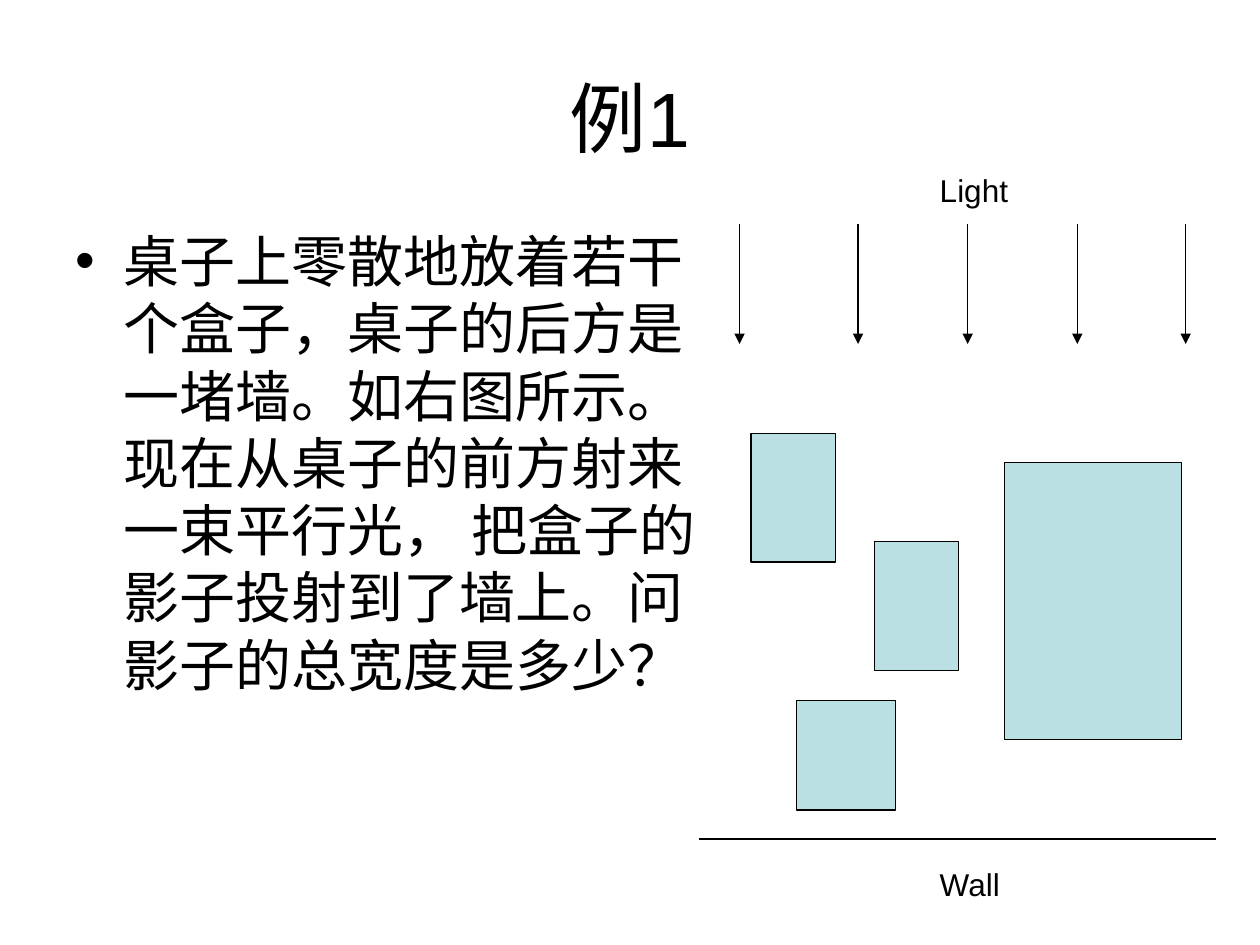
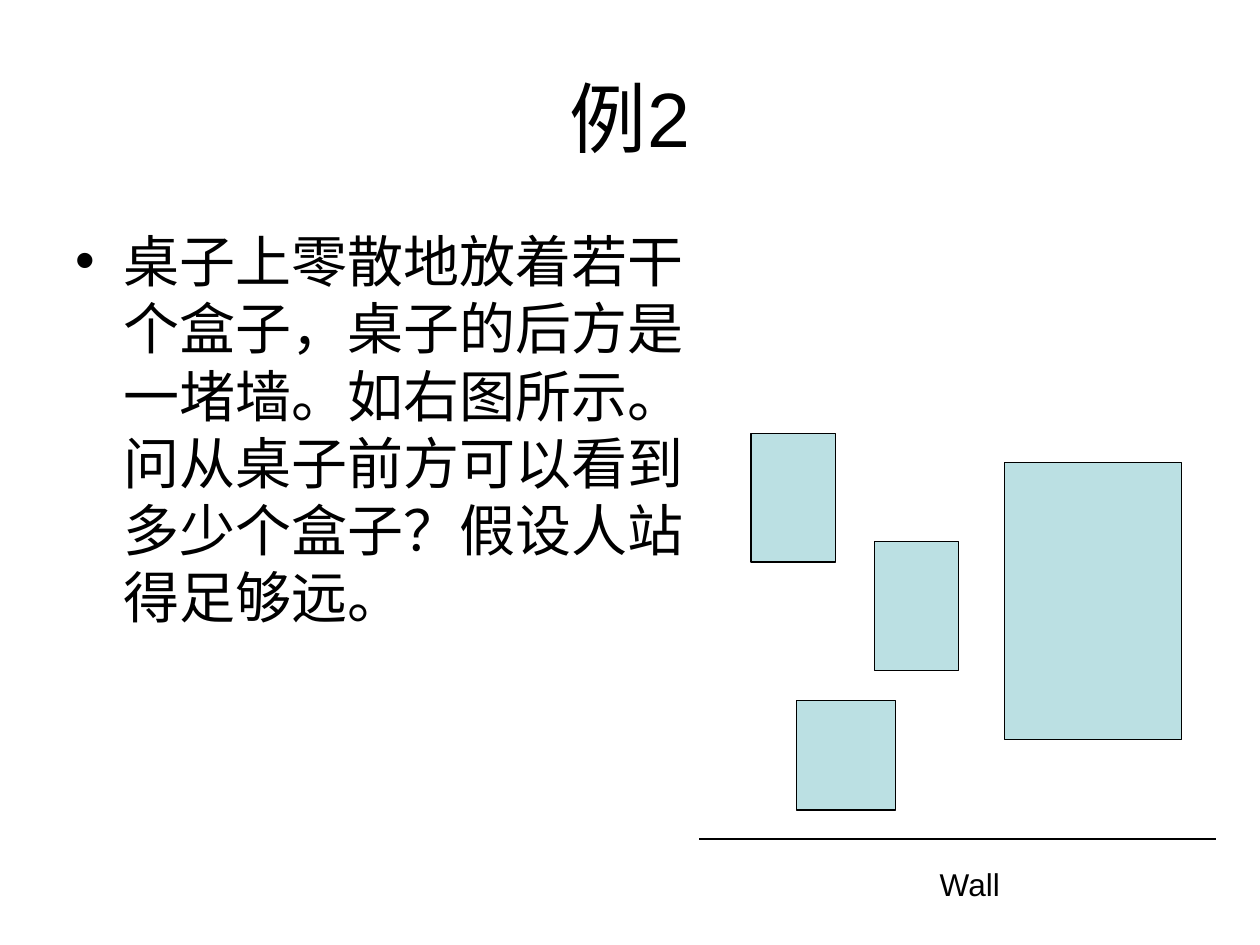
import pptx
import pptx.util
import pptx.dml.color
import pptx.enum.shapes
import pptx.enum.text
import pptx.oxml
import pptx.oxml.ns
from pptx.util import Inches

BLACK = "000000"
BOX_FILL = "BBE0E3"
BOXES = [
    (5.96, 3.44, 0.67, 1.02),
    (6.94, 4.3, 0.67, 1.02),
    (6.32, 5.56, 0.79, 0.87),
    (7.97, 3.67, 1.41, 2.2),
]
RAY_POSITIONS = [5.87, 6.81, 7.68, 8.55, 9.41]
SETTING = "桌子上零散地放着若干个盒子，桌子的后方是一堵墙。如右图所示。"
SHADOW_QUESTION = "现在从桌子的前方射来一束平行光， 把盒子的影子投射到了墙上。问影子的总宽度是多少？"
VISIBLE_QUESTION = "问从桌子前方可以看到多少个盒子？假设人站得足够远。"


def color(value):
    return pptx.dml.color.RGBColor.from_string(value)


def add_xml(parent, tag, **attributes):
    element = pptx.oxml.parse_xml(f"<a:{tag} {pptx.oxml.ns.nsdecls('a')}/>")
    for name, value in attributes.items():
        element.set(name, str(value))
    parent.append(element)


class ExampleDeck:
    font = "Arial"
    line_width = pptx.util.Pt(0.75)

    def __init__(self):
        self.deck = pptx.Presentation()
        self.deck.slide_width = Inches(10)
        self.deck.slide_height = Inches(7.5)
        self.page = None

    def add_page(self):
        self.page = self.deck.slides.add_slide(self.deck.slide_layouts[6])

    def text(self, content, left, top, width, height, size):
        box = self.page.shapes.add_textbox(
            Inches(left), Inches(top), Inches(width), Inches(height))
        frame = box.text_frame
        frame.word_wrap = True
        frame.text = content
        span = frame.paragraphs[0].runs[0]
        span.font.name = self.font
        span.font.size = pptx.util.Pt(size)
        span.font.color.rgb = color(BLACK)
        return frame

    def title(self, content):
        frame = self.text(content, 0.5, 0.3, 9, 1.25, 44)
        frame.vertical_anchor = pptx.enum.text.MSO_ANCHOR.MIDDLE
        frame.paragraphs[0].alignment = pptx.enum.text.PP_ALIGN.CENTER

    def bullet(self, content):
        frame = self.text(content, 0.5, 1.75, 5.13, 4.95, 32)
        properties = frame.paragraphs[0]._p.get_or_add_pPr()
        properties.set("marL", str(Inches(0.38)))
        properties.set("indent", str(Inches(-0.38)))
        add_xml(properties, "buFont", typeface=self.font)
        add_xml(properties, "buChar", char="•")

    def label(self, content, top, width):
        self.text(content, 7.36, top, width, 0.4, 18)

    def outline(self, line):
        line.color.rgb = color(BLACK)
        line.width = self.line_width

    def rectangle(self, left, top, width, height):
        box = self.page.shapes.add_shape(
            pptx.enum.shapes.MSO_SHAPE.RECTANGLE,
            Inches(left), Inches(top), Inches(width), Inches(height))
        box.shadow.inherit = False
        box.fill.solid()
        box.fill.fore_color.rgb = color(BOX_FILL)
        self.outline(box.line)

    def line(self, start_x, start_y, end_x, end_y, arrow=False):
        connector = self.page.shapes.add_connector(
            pptx.enum.shapes.MSO_CONNECTOR.STRAIGHT,
            Inches(start_x), Inches(start_y), Inches(end_x), Inches(end_y))
        self.outline(connector.line)
        if arrow:
            add_xml(connector.line._get_or_add_ln(), "tailEnd", type="triangle")
        add_xml(connector._element.spPr, "effectLst")

    def table_scene(self):
        self.line(5.55, 6.66, 9.65, 6.66)
        for box in BOXES:
            self.rectangle(*box)
        self.label("Wall", 6.82, 0.79)

    def light(self):
        for x in RAY_POSITIONS:
            self.line(x, 1.78, x, 2.73, arrow=True)
        self.label("Light", 1.31, 1.02)

    def example(self, number, question):
        self.add_page()
        self.title(f"例{number}")
        self.bullet(SETTING + question)
        self.table_scene()


def main():
    examples = ExampleDeck()
    examples.example(1, SHADOW_QUESTION)
    examples.light()
    examples.example(2, VISIBLE_QUESTION)
    examples.deck.save("out.pptx")


if __name__ == "__main__":
    main()
